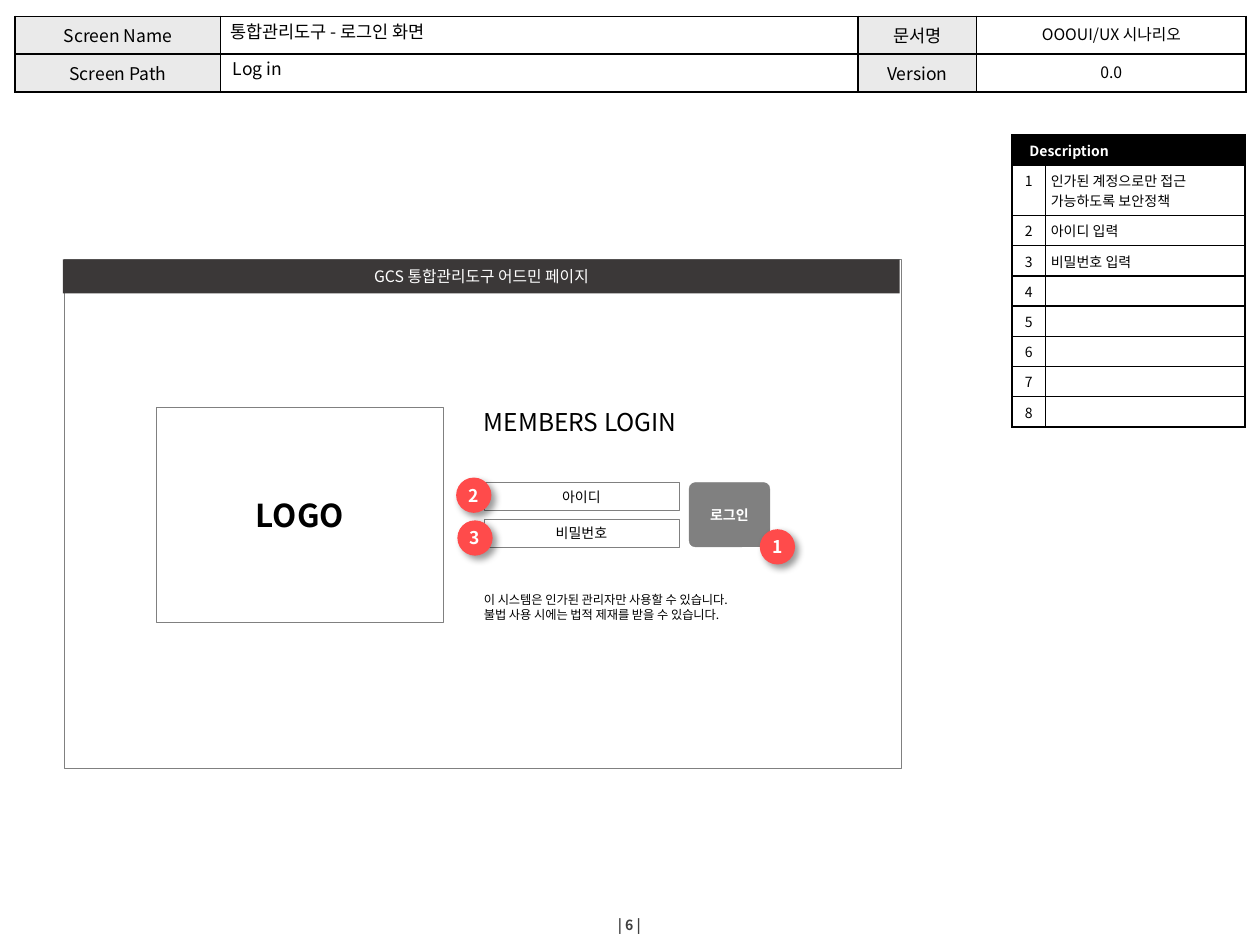
from lxml.etree import SubElement
from pptx import Presentation
from pptx.dml.color import RGBColor
from pptx.enum.shapes import MSO_SHAPE
from pptx.enum.text import MSO_ANCHOR, PP_ALIGN
from pptx.oxml import parse_xml
from pptx.oxml.ns import nsdecls, qn
from pptx.util import Inches, Pt

FONT = "Noto Sans CJK KR"
BLACK = RGBColor(0, 0, 0)
WHITE = RGBColor(255, 255, 255)
GRAY = RGBColor(0x80, 0x80, 0x80)
LABEL_GRAY = RGBColor(0xEA, 0xEA, 0xEA)
BAR_GRAY = RGBColor(0x3B, 0x38, 0x38)
FOOTER_GRAY = RGBColor(0x40, 0x40, 0x40)
RED = RGBColor(0xFF, 0x4B, 0x4B)
CENTER, LEFT = PP_ALIGN.CENTER, PP_ALIGN.LEFT

# Content
HEADER_ROWS = [
    ("Screen Name", "", "문서명", "OOOUI/UX 시나리오"),
    ("Screen Path", "", "Version", "0.0"),
]
HEADER_COLS = (1.63, 5.06, 0.94, 2.14)
DESCRIPTIONS = ["인가된 계정으로만 접근 가능하도록 보안정책",
                "아이디 입력", "비밀번호 입력", "", "", "", "", ""]
FIELDS = ["아이디", "비밀번호"]
NOTICE = ["이 시스템은 인가된 관리자만 사용할 수 있습니다.",
          "불법 사용 시에는 법적 제재를 받을 수 있습니다."]
BADGES = [("1", 6.03, 4.2), ("2", 3.62, 3.79), ("3", 3.63, 4.13)]
FORM_LEFT, FIELD_TOP, FIELD_PITCH = 3.84, 3.83, 0.29

prs = Presentation()
prs.slide_width, prs.slide_height = Inches(10), Inches(7.5)
slide = prs.slides.add_slide(prs.slide_layouts[6])


def write(frame, lines, size, color=BLACK, bold=False, align=CENTER):
    frame.text = "\n".join(lines)
    for paragraph in frame.paragraphs:
        paragraph.alignment = align
        paragraph.font.size = Pt(size)
        for run in paragraph.runs:
            run.font.size, run.font.bold, run.font.name = Pt(size), bold, FONT
            run.font.color.rgb = color
            SubElement(run._r.get_or_add_rPr(), qn("a:ea"), typeface=FONT)


def set_margins(target, x, y):
    target.margin_left = target.margin_right = Inches(x)
    target.margin_top = target.margin_bottom = Inches(y)


def add_box(kind, box, fill, line=None, lines=(), size=8, color=BLACK,
            bold=False, margins=(0, 0.05)):
    shape = slide.shapes.add_shape(kind, *map(Inches, box))
    shape.shadow.inherit = False
    shape.fill.solid()
    shape.fill.fore_color.rgb = fill
    if line is None:
        shape.line.fill.background()
    else:
        shape.line.color.rgb = line
        shape.line.width = Pt(0.25)
    set_margins(shape.text_frame, *margins)
    shape.text_frame.vertical_anchor = MSO_ANCHOR.MIDDLE
    write(shape.text_frame, lines, size, color, bold)
    return shape


def add_text(box, lines, size, color=BLACK, bold=False, align=LEFT,
             margins=(0.1, 0.05), anchor=MSO_ANCHOR.TOP, wrap=True):
    frame = slide.shapes.add_textbox(*map(Inches, box)).text_frame
    frame.word_wrap = wrap
    frame.vertical_anchor = anchor
    set_margins(frame, *margins)
    write(frame, lines, size, color, bold, align)
    return frame


def add_grid(left, top, cols, rows):
    table = slide.shapes.add_table(
        len(rows), len(cols), Inches(left), Inches(top),
        Inches(sum(cols)), Inches(sum(rows))).table
    for column, width in zip(table.columns, cols):
        column.width = Inches(width)
    for row, height in zip(table.rows, rows):
        row.height = Inches(height)
    return table


def fill_cell(cell, text, size, fill, margins, color=BLACK, bold=False, align=CENTER):
    set_margins(cell, *margins)
    write(cell.text_frame, [text], size, color, bold, align)
    cell.fill.solid()
    cell.fill.fore_color.rgb = fill
    for index, side in enumerate(("lnL", "lnR", "lnT", "lnB")):
        cell._tc.get_or_add_tcPr().insert(index, parse_xml(
            f'<a:{side} {nsdecls("a")} w="12700"><a:solidFill>'
            f'<a:srgbClr val="{BLACK}"/></a:solidFill></a:{side}>'))


# Document header
header = add_grid(0.12, 0.13, HEADER_COLS, [0.3] * len(HEADER_ROWS))
for r, row in enumerate(HEADER_ROWS):
    for c, text in enumerate(row):
        fill_cell(header.cell(r, c), text, 9 if c == 3 else 10,
                  WHITE if c % 2 else LABEL_GRAY, (0.1, 0.05))
title = add_text((1.73, 0.13, 3.92, 0.27), ["통합관리도구 - 로그인 화면"], 10,
                 anchor=MSO_ANCHOR.MIDDLE)
title.paragraphs[0].line_spacing = 0.9
add_text((1.75, 0.41, 4.85, 0.27), ["Log in"], 10)

# Description table
description = add_grid(8.03, 1.07, (0.27, 1.58), [0.24, 0.4] + [0.24] * 7)
for c, text in enumerate(("Description", "")):
    fill_cell(description.cell(0, c), text, 8, BLACK, (0.04, 0.04), WHITE, True, LEFT)
description.cell(0, 0).merge(description.cell(0, 1))
description.cell(0, 0).margin_left = Inches(0.14)
for number, text in enumerate(DESCRIPTIONS, 1):
    fill_cell(description.cell(number, 0), str(number), 8, WHITE, (0.04, 0.04))
    fill_cell(description.cell(number, 1), text, 8, WHITE, (0.04, 0.04), align=LEFT)

# Page frame, title bar and logo area
RECT = MSO_SHAPE.RECTANGLE
add_box(RECT, (0.51, 2.06, 6.64, 4.04), WHITE, GRAY)
add_box(RECT, (1.24, 3.23, 2.28, 1.71), WHITE, GRAY, ["LOGO"], 18, bold=True)
add_box(RECT, (0.5, 2.06, 6.64, 0.27), BAR_GRAY, None,
        ["GCS 통합관리도구 어드민 페이지"], 9, WHITE)

# Login form
add_text((FORM_LEFT, 3.23, 1.55, 0.24), ["MEMBERS LOGIN"], 14, margins=(0, 0), wrap=False)
for i, field in enumerate(FIELDS):
    add_box(RECT, (FORM_LEFT, FIELD_TOP + i * FIELD_PITCH, 1.55, 0.22),
            WHITE, GRAY, [field])
add_text((FORM_LEFT, 4.7, 2.19, 0.24), NOTICE, 7, margins=(0, 0), wrap=False)
login = add_box(MSO_SHAPE.ROUNDED_RECTANGLE, (5.47, FIELD_TOP, 0.64, 0.51),
                GRAY, GRAY, ["로그인"], 8, WHITE, True)
login.adjustments[0] = 0.095

# Numbered badges with a soft shadow
for number, left, top in BADGES:
    badge = add_box(MSO_SHAPE.OVAL, (left, top, 0.28, 0.28), RED, None,
                    [number], 10, WHITE, True, (0, 0))
    effects = badge._element.spPr.find(qn("a:effectLst"))
    effects.append(parse_xml(
        f'<a:outerShdw {nsdecls("a")} blurRad="{Pt(4)}" dist="{Pt(3)}" dir="2700000" '
        f'algn="tl" rotWithShape="0"><a:srgbClr val="{BLACK}">'
        '<a:alpha val="40000"/></a:srgbClr></a:outerShdw>'))

# Page number
add_text((4.61, 7.2, 0.77, 0.28), ["| 6 |"], 8, FOOTER_GRAY, True, CENTER,
         anchor=MSO_ANCHOR.MIDDLE)

prs.save("out.pptx")
